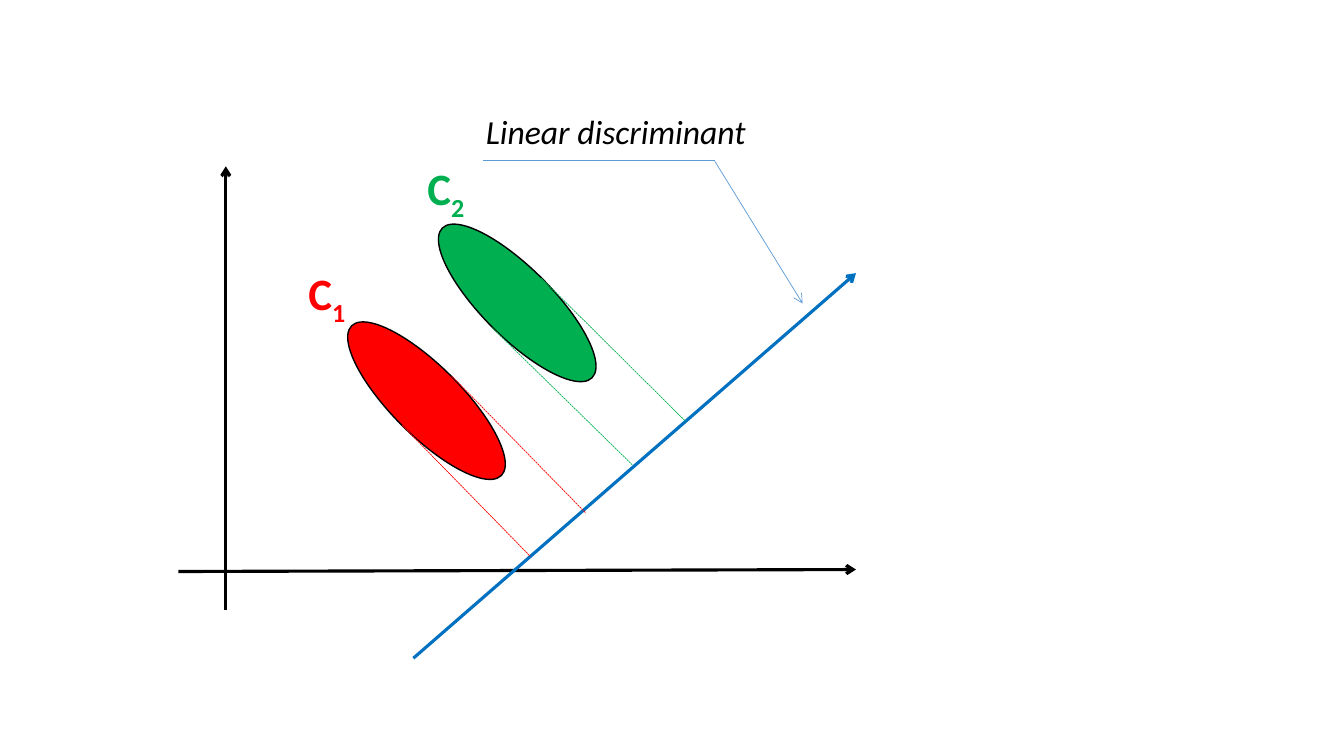
from dataclasses import dataclass

from lxml import etree
from pptx import Presentation
from pptx.dml.color import RGBColor
from pptx.enum.dml import MSO_LINE
from pptx.enum.shapes import MSO_CONNECTOR, MSO_SHAPE
from pptx.enum.text import MSO_AUTO_SIZE
from pptx.oxml.ns import qn
from pptx.slide import Slide
from pptx.util import Inches, Pt

STRAIGHT = MSO_CONNECTOR.STRAIGHT
ELLIPSE = MSO_SHAPE.OVAL
SYS_DASH = MSO_LINE.SQUARE_DOT
GROW = MSO_AUTO_SIZE.SHAPE_TO_FIT_TEXT

FONT = "Calibri"
COLORS = {
    "black": "000000",
    "red": "FF0000",
    "green": "00B050",
    "blue": "0070C0",
    "callout": "5B9BD5",
}
CLUSTER_WIDTH, CLUSTER_HEIGHT = 2.1, 0.69
CLUSTER_ANGLE = 45

Point = tuple[float, float]
Box = tuple[float, float, float, float]


@dataclass
class Stroke:
    start: Point
    end: Point
    color: str
    width: float = 0.5
    arrow: bool = False
    dashed: bool = False


@dataclass
class Cluster:
    corner: Point
    color: str


@dataclass
class Label:
    box: Box
    text: str
    size: int
    color: str
    subscript: str = ""
    bold: bool = False
    italic: bool = False


AXES = [
    Stroke((1.77, 5.67), (8.49, 5.65), "black", 2.25, arrow=True),
    Stroke((2.24, 6.05), (2.24, 1.65), "black", 2.25, arrow=True),
]
CLUSTERS = [Cluster((3.18, 3.63), "red"), Cluster((4.08, 2.66), "green")]
DISCRIMINANT = Stroke((4.1, 6.53), (8.49, 2.71), "blue", 2.25, arrow=True)
PROJECTIONS = [
    Stroke((3.99, 4.22), (5.26, 5.52), "red", dashed=True),
    Stroke((4.48, 3.73), (5.81, 5.09), "red", dashed=True),
    Stroke((4.88, 3.25), (6.27, 4.61), "green", dashed=True),
    Stroke((5.37, 2.76), (6.8, 4.18), "green", dashed=True),
]
CALLOUT = [
    Stroke((7.09, 1.6), (7.96, 3.01), "callout", arrow=True),
    Stroke((7.09, 1.59), (4.79, 1.59), "callout"),
]
LABELS = [
    Label((2.96, 2.59, 0.76, 0.64), "C", 32, "red", subscript="1", bold=True),
    Label((4.14, 1.55, 1.01, 0.64), "C", 32, "green", subscript="2", bold=True),
    Label((4.72, 1.05, 3.15, 0.5), "Linear discriminant", 24, "black", italic=True),
]


def rgb(color: str) -> RGBColor:
    return RGBColor.from_string(COLORS[color])


def draw_stroke(slide: Slide, stroke: Stroke) -> None:
    ends = [Inches(value) for value in (*stroke.start, *stroke.end)]
    connector = slide.shapes.add_connector(STRAIGHT, *ends)
    connector.line.color.rgb = rgb(stroke.color)
    connector.line.width = Pt(stroke.width)
    if stroke.dashed:
        connector.line.dash_style = SYS_DASH
    properties = connector._element.spPr
    if stroke.arrow:
        outline = properties.find(qn("a:ln"))
        etree.SubElement(outline, qn("a:tailEnd"), type="arrow")
    etree.SubElement(properties, qn("a:effectLst"))


def draw_cluster(slide: Slide, cluster: Cluster) -> None:
    box = (*cluster.corner, CLUSTER_WIDTH, CLUSTER_HEIGHT)
    ellipse = slide.shapes.add_shape(ELLIPSE, *map(Inches, box))
    ellipse.rotation = CLUSTER_ANGLE
    ellipse.shadow.inherit = False
    ellipse.fill.solid()
    ellipse.fill.fore_color.rgb = rgb(cluster.color)
    ellipse.line.color.rgb = rgb("black")
    ellipse.line.width = Pt(1)


def draw_label(slide: Slide, label: Label) -> None:
    frame = slide.shapes.add_textbox(*map(Inches, label.box)).text_frame
    frame.word_wrap = True
    frame.auto_size = GROW
    paragraph = frame.paragraphs[0]
    paragraph.text = label.text
    if label.subscript:
        subscript = paragraph.add_run()
        subscript.text = label.subscript
        subscript._r.get_or_add_rPr().set("baseline", "-25000")
    for run in paragraph.runs:
        run.font.name = FONT
        run.font.size = Pt(label.size)
        run.font.bold = label.bold
        run.font.italic = label.italic
        run.font.color.rgb = rgb(label.color)


def main() -> None:
    presentation = Presentation()
    presentation.slide_width = Inches(13.33)
    presentation.slide_height = Inches(7.5)
    slide = presentation.slides.add_slide(presentation.slide_layouts[6])
    for axis in AXES:
        draw_stroke(slide, axis)
    for cluster in CLUSTERS:
        draw_cluster(slide, cluster)
    for stroke in [DISCRIMINANT, *PROJECTIONS, *CALLOUT]:
        draw_stroke(slide, stroke)
    for label in LABELS:
        draw_label(slide, label)
    presentation.save("out.pptx")


if __name__ == "__main__":
    main()
